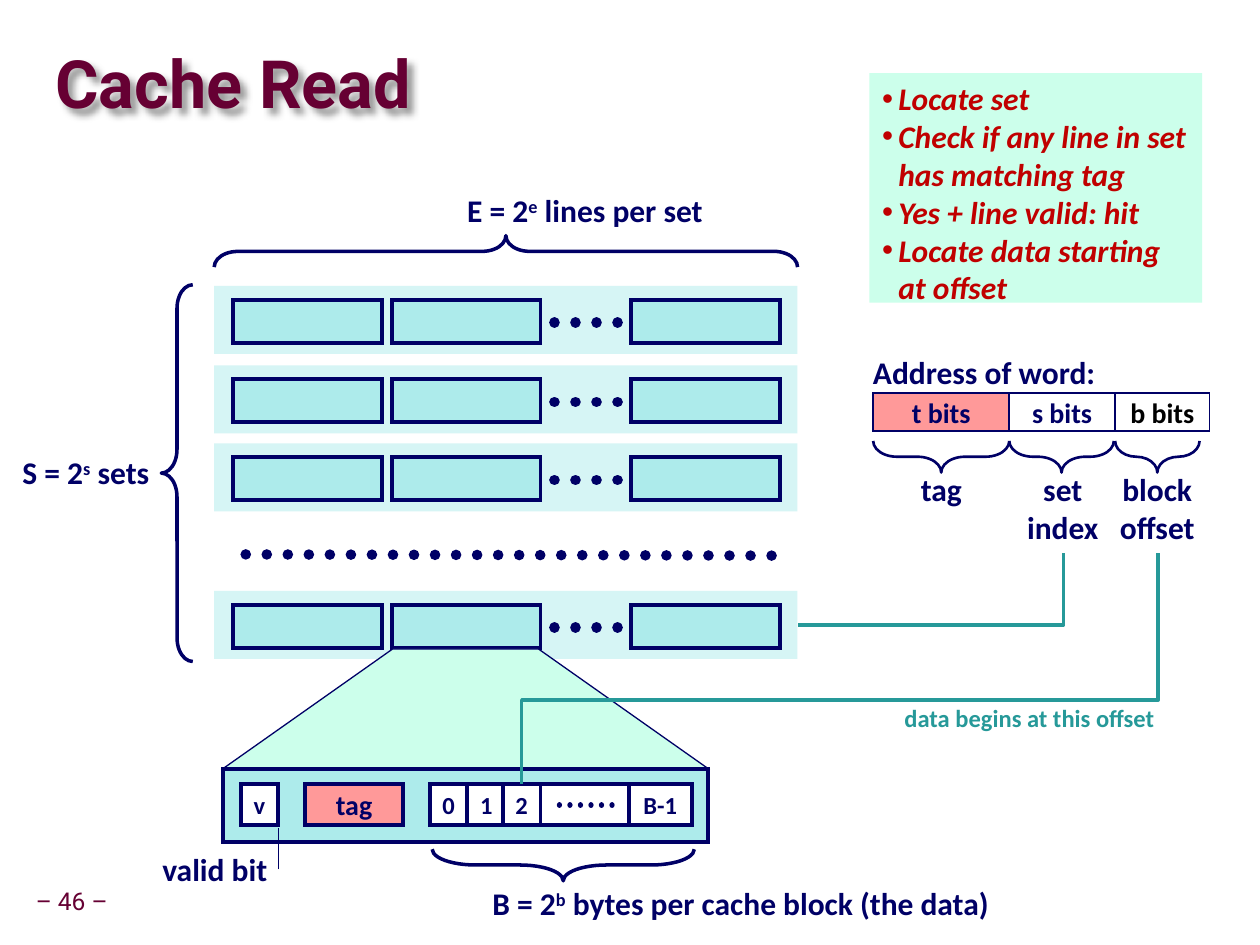
from lxml import etree
from pptx import Presentation, util as u
from pptx.dml.color import RGBColor
from pptx.enum import dml, shapes, text
from pptx.oxml.ns import qn

SCALE = u.Inches(1) // 100
COLORS = {
    "navy": "000066", "plum": "660033", "red": "C00000", "teal": "269999",
    "black": "000000", "white": "FFFFFF", "set": "D6F5F5", "line": "ADEBEB",
    "mint": "CCFFEB", "pink": "FF9999",
}
STEPS = [
    ["Locate set"],
    ["Check if any line in set", "has matching tag"],
    ["Yes + line valid: hit"],
    ["Locate data starting", "at offset"],
]
SET_TOPS = [227, 290, 352, 469]
LINE_LEFTS = [185, 311, 501]
BLOCK_CELLS = [
    ("0", 341, 30, 14, "white"), ("1", 371, 30, 14, "white"),
    ("2", 399, 30, 14, "white"), ("B-1", 499, 50, 14, "white"),
    ("", 429, 70, 14, "white"), ("tag", 242, 78, 16, "pink"),
    ("v", 191, 30, 14, "white"),
]
ADDRESS_FIELDS = [
    ("t bits", 693, 108, "pink", "navy"),
    ("s bits", 801, 84, "white", "navy"),
    ("b bits", 885, 75, "white", "black"),
]
LABELS = [
    (361, 147, 214, 40, [["E = 2", "^e", " lines per set"]]),
    (8, 355, 123, 40, [["S = 2", "^s", " sets"]]),
    (119, 670, 104, 40, [["valid bit"]]),
    (381, 697, 419, 40, [["B = 2", "^b", " bytes per cache block (the data)"]]),
    (683, 275, 198, 40, [["Address of word:"]]),
    (721, 368, 53, 40, [["tag"]]),
    (805, 368, 77, 71, [["set"], ["index"]]),
    (878, 368, 81, 71, [["block"], ["offset"]]),
]
BRACES = [
    (170, 187, 463, 90, 0.75, 2), (343, 674, 208, 270, 1.37, 2),
    (693, 350, 108, 270, 0.75, 1.5), (801, 350, 83, 270, 0.75, 1.5),
    (885, 350, 67, 270, 0.75, 1.5),
]
BRACE_DEPTH = 25


def px(*lengths):
    return [int(length * SCALE) for length in lengths]


def color(name):
    return RGBColor.from_string(COLORS[name])


def add_run(paragraph, words, size, ink="navy", bold=True, italic=False, font="Calibri"):
    run = paragraph.add_run()
    run.text = words.removeprefix("^")
    run.font.name, run.font.size = font, u.Pt(size)
    run.font.bold, run.font.italic = bold, italic
    run.font.color.rgb = color(ink)
    if words.startswith("^"):
        run.font._element.set("baseline", "30000")


def add_label(left, top, width, height, paragraphs, size=18, ink="navy"):
    frame = slide.shapes.add_textbox(*px(left, top, width, height)).text_frame
    frame.word_wrap = False
    frame.auto_size = text.MSO_AUTO_SIZE.SHAPE_TO_FIT_TEXT
    for index, runs in enumerate(paragraphs):
        paragraph = frame.add_paragraph() if index else frame.paragraphs[0]
        if len(paragraphs) > 1:
            paragraph.alignment = text.PP_ALIGN.CENTER
        for words in runs:
            add_run(paragraph, words, size, ink)
    return frame


def add_box(parent, left, top, width, height, fill, weight=0,
            kind=shapes.MSO_SHAPE.RECTANGLE):
    shape = parent.add_shape(kind, *px(left, top, width, height))
    shape.shadow.inherit = False
    shape.fill.solid()
    shape.fill.fore_color.rgb = color(fill)
    if weight:
        shape.line.color.rgb = color("navy")
        shape.line.width = u.Pt(weight)
        etree.SubElement(shape.line._ln, qn("a:miter"), lim="800000")
    else:
        shape.line.fill.background()
    return shape


def add_cell(words, left, top, width, height, size, fill, weight, ink="navy"):
    frame = add_box(slide.shapes, left, top, width, height, fill, weight).text_frame
    if words:
        frame.word_wrap = False
        frame.vertical_anchor = text.MSO_ANCHOR.MIDDLE
        frame.paragraphs[0].alignment = text.PP_ALIGN.CENTER
        add_run(frame.paragraphs[0], words, size, ink)


def add_brace(left, top, width, height, adjustment, weight, rotation=0):
    shape = slide.shapes.add_shape(shapes.MSO_SHAPE.LEFT_BRACE, *px(left, top, width, height))
    shape.shadow.inherit = False
    shape.fill.background()
    shape.line.color.rgb = color("navy")
    shape.line.width = u.Pt(weight)
    shape.adjustments[0] = adjustment
    shape.rotation = rotation
    if rotation == 270:
        shape._element.spPr.find(qn("a:xfrm")).set("flipV", "1")


def add_line(parent, start, end, weight, ink="navy", dotted=False,
             kind=shapes.MSO_CONNECTOR.STRAIGHT):
    connector = parent.add_connector(kind, *px(*start, *end))
    connector.line.color.rgb = color(ink)
    connector.line.width = u.Pt(weight)
    if dotted:
        connector.line.dash_style = dml.MSO_LINE.ROUND_DOT
        connector.line._ln.set("cap", "rnd")
    etree.SubElement(connector._element.spPr, qn("a:effectLst"))
    return connector


def add_elbow(start, end, preset, bend=None):
    across, down = start[0] - end[0], end[1] - start[1]
    left = (start[0] + end[0] - down) / 2
    top = (start[1] + end[1] - across) / 2
    connector = add_line(slide.shapes, (left, top), (left + down, top + across), 2, "teal",
                         kind=shapes.MSO_CONNECTOR.ELBOW)
    properties = connector._element.spPr
    properties.find(qn("a:xfrm")).set("rot", "5400000")
    geometry = properties.find(qn("a:prstGeom"))
    geometry.set("prst", preset)
    if bend:
        etree.SubElement(geometry.find(qn("a:avLst")), qn("a:gd"), name="adj1", fmla=f"val {bend}")


def place(shape, *box):
    shape.left, shape.top, shape.width, shape.height = px(*box)


presentation = Presentation()
presentation.slide_width, presentation.slide_height = px(1000, 750)
slide = presentation.slides.add_slide(presentation.slide_layouts[1])

title = slide.shapes.title
place(title, 44, 27, 953, 85)
frame = title.text_frame
frame.margin_left = frame.margin_right = frame.margin_top = frame.margin_bottom = 0
frame.vertical_anchor = text.MSO_ANCHOR.MIDDLE
frame.auto_size = text.MSO_AUTO_SIZE.NONE
frame.paragraphs[0].alignment = text.PP_ALIGN.LEFT
frame.paragraphs[0].line_spacing = 0.87
add_run(frame.paragraphs[0], "Cache Read", 38, "plum", font="Roboto")
effects = etree.SubElement(title._element.spPr, qn("a:effectLst"))
shadow = etree.SubElement(effects, qn("a:outerShdw"), blurRad="50800", dist="53880", dir="2700000")
shade = etree.SubElement(shadow, qn("a:srgbClr"), val=COLORS["black"])
etree.SubElement(shade, qn("a:alpha"), val="40000")

steps = slide.placeholders[1]
place(steps, 690, 58, 264, 192)
steps.fill.solid()
steps.fill.fore_color.rgb = color("mint")
frame = steps.text_frame
frame.word_wrap = False
frame.auto_size = text.MSO_AUTO_SIZE.SHAPE_TO_FIT_TEXT
for index, rows in enumerate(STEPS):
    paragraph = frame.add_paragraph() if index else frame.paragraphs[0]
    paragraph.space_before = u.Pt(0)
    properties = paragraph._p.get_or_add_pPr()
    indent = px(13)[0]
    properties.set("marL", str(indent))
    properties.set("indent", str(-indent))
    etree.SubElement(properties, qn("a:buChar"), char="•")
    for row_index, words in enumerate(rows):
        if row_index:
            paragraph.add_line_break()
        add_run(paragraph, words, 18, "red", italic=True)

for top in SET_TOPS:
    group = slide.shapes.add_group_shape().shapes
    add_box(group, 170, top, 463, 54, "set")
    for left in LINE_LEFTS:
        add_box(group, left, top + 11, 118, 34, "line", 2.25)
    add_line(group, (440, top + 29), (501, top + 29), 6, dotted=True)
add_line(slide.shapes, (195, 440), (619, 441), 6, dotted=True)

trapezoid = add_box(slide.shapes, 177, 515, 385, 95, "mint", 0.75, shapes.MSO_SHAPE.TRAPEZOID)
trapezoid.adjustments[0] = 1.418
add_box(slide.shapes, 177, 610, 385, 58, "line", 2.25)
for words, left, width, size, fill in BLOCK_CELLS:
    add_cell(words, left, 622, width, 33, size, fill, 2.25)
add_line(slide.shapes, (444, 639), (494, 639), 3, dotted=True)
add_line(slide.shapes, (221, 690), (221, 657), 0.75)

for words, left, width, fill, ink in ADDRESS_FIELDS:
    add_cell(words, left, 312, width, 30, 16, fill, 1, ink)

add_brace(128, 226, BRACE_DEPTH, 299, 0.75, 2)
for left, top, length, rotation, adjustment, weight in BRACES:
    shift = (length - BRACE_DEPTH) / 2
    add_brace(left + shift, top - shift, BRACE_DEPTH, length, adjustment, weight, rotation)

for label in LABELS:
    add_label(*label)
add_label(708, 553, 220, 34, [["data begins at this offset"]], 14, "teal")
add_elbow((844, 439), (633, 496), "bentConnector2")
add_elbow((919, 439), (414, 622), "bentConnector3", 63800)

number = add_label(23, 700, 68, 32, [[]])
number.margin_left = number.margin_right = number.margin_top = number.margin_bottom = px(5)[0]
number.vertical_anchor = text.MSO_ANCHOR.MIDDLE
number.paragraphs[0].alignment = text.PP_ALIGN.CENTER
number.paragraphs[0].line_spacing = 0.9
add_run(number.paragraphs[0], "– 46 –", 14, "plum", bold=False, font="Roboto")

presentation.save("out.pptx")
